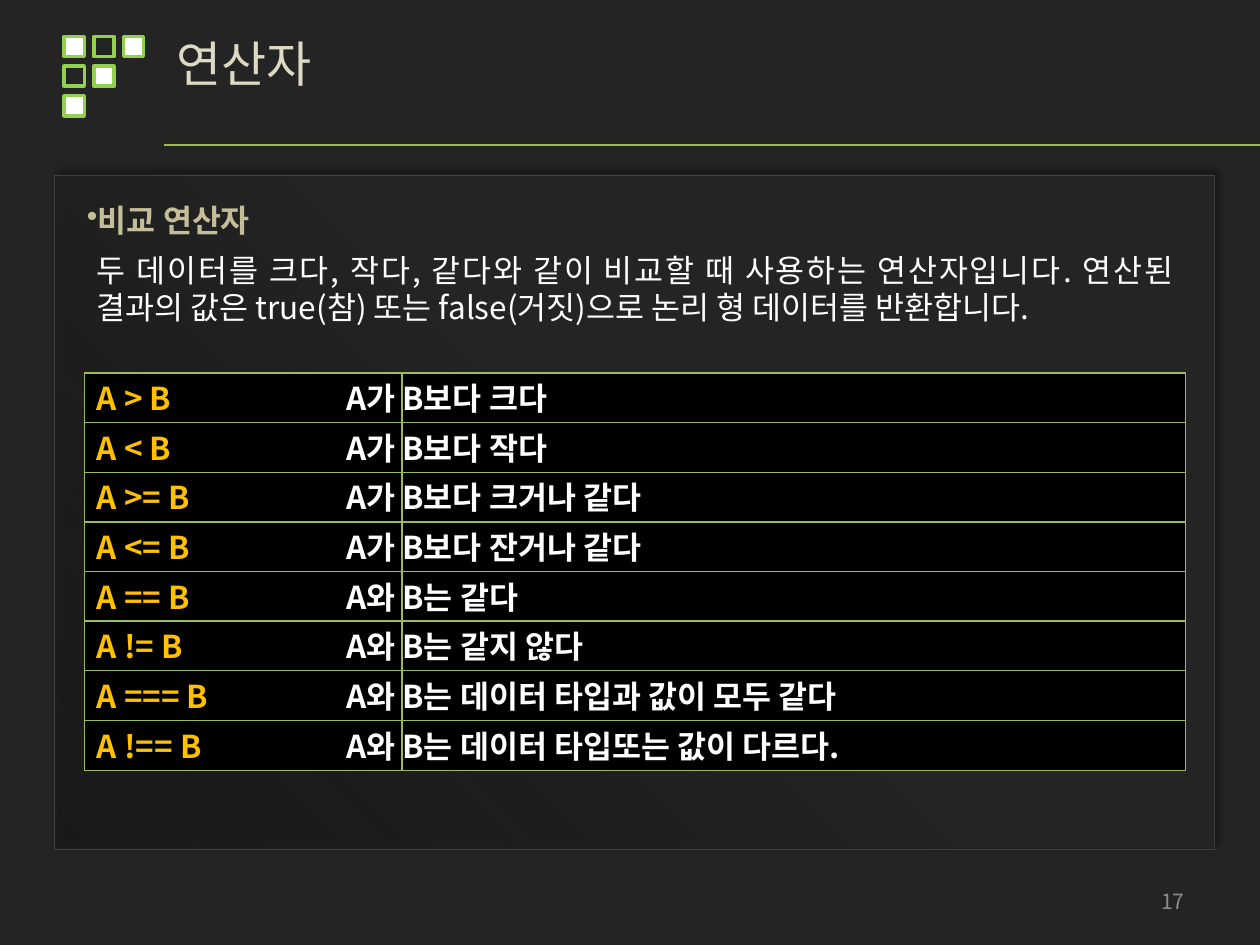
from dataclasses import dataclass

from lxml import etree
from pptx import Presentation
from pptx.dml.color import RGBColor
from pptx.enum.shapes import MSO_CONNECTOR, MSO_SHAPE
from pptx.enum.text import MSO_ANCHOR, PP_ALIGN
from pptx.oxml import parse_xml
from pptx.oxml.ns import nsdecls, qn
from pptx.util import Inches, Pt


@dataclass(frozen=True)
class Theme:
    font: str = "Noto Sans CJK KR"
    background: str = "242424"
    panel_dark: str = "191919"
    panel_line: str = "404040"
    square_line: str = "92D050"
    green: str = "9BBB59"
    title: str = "DDD9C3"
    heading: str = "C4BD97"
    operator: str = "FFC000"
    white: str = "FFFFFF"
    black: str = "000000"
    number: str = "8C8C8C"
    title_size: int = 28
    body_size: int = 18
    number_size: int = 12


theme = Theme()


def add_box(left, top, width, height, fill=None, line=None, line_width=0.75):
    """Add a flat rectangle; without a fill and a line it is a text box."""
    frame = [Inches(value) for value in (left, top, width, height)]
    if line is None:
        shape = slide.shapes.add_textbox(*frame)
    else:
        shape = slide.shapes.add_shape(MSO_SHAPE.RECTANGLE, *frame)
        shape.shadow.inherit = False
        shape.line.color.rgb = RGBColor.from_string(line)
        shape.line.width = Pt(line_width)
        if fill:
            shape.fill.solid()
            shape.fill.fore_color.rgb = RGBColor.from_string(fill)
        else:
            shape.fill.background()
    shape.text_frame.word_wrap = True
    shape.text_frame.vertical_anchor = MSO_ANCHOR.TOP
    return shape


def add_run(paragraph, text, size, color, bold=False):
    run = paragraph.add_run()
    run.text = text
    run.font.name = theme.font
    run.font.size = Pt(size)
    run.font.bold = bold
    run.font.color.rgb = RGBColor.from_string(color)
    etree.SubElement(run.font._element, qn("a:ea"), typeface=theme.font)


presentation = Presentation()
presentation.slide_width = Inches(10)
presentation.slide_height = Inches(7.5)
slide = presentation.slides.add_slide(presentation.slide_layouts[6])
slide.background.fill.solid()
slide.background.fill.fore_color.rgb = RGBColor.from_string(theme.background)

# Corner ornament: a triangle of squares, # filled and o hollow
for row, squares in enumerate(("#o#", "o#", "#")):
    for column, square in enumerate(squares):
        add_box(0.51 + column * 0.235, 0.29 + row * 0.235, 0.16, 0.16,
                theme.white if square == "#" else None, theme.square_line, 2)

# Content panel
panel = add_box(0.43, 1.39, 9.21, 5.35, theme.background, theme.panel_line)
panel_properties = panel._element.spPr
panel_properties.replace(panel_properties.find(qn("a:solidFill")), parse_xml(
    f'<a:gradFill {nsdecls("a")} rotWithShape="1"><a:gsLst>'
    f'<a:gs pos="0"><a:srgbClr val="{theme.panel_dark}"><a:alpha val="62000"/></a:srgbClr></a:gs>'
    f'<a:gs pos="50000"><a:srgbClr val="{theme.background}"/></a:gs></a:gsLst>'
    '<a:path path="circle"><a:fillToRect l="0" t="100000" r="100000" b="0"/></a:path>'
    '</a:gradFill>'))
panel_properties.find(qn("a:effectLst")).append(parse_xml(
    f'<a:outerShdw {nsdecls("a")} blurRad="{Pt(4)}" dist="{Pt(3)}" dir="18900000" '
    f'algn="bl" rotWithShape="0"><a:srgbClr val="{theme.black}">'
    '<a:alpha val="40000"/></a:srgbClr></a:outerShdw>'))

# Title and page number
title = add_box(1.3, 0.22, 8.66, 0.85).text_frame
add_run(title.paragraphs[0], "연산자", theme.title_size, theme.title)

page_number = add_box(7.17, 6.95, 2.33, 0.4).text_frame
page_number.vertical_anchor = MSO_ANCHOR.MIDDLE
page_number.paragraphs[0].alignment = PP_ALIGN.RIGHT
add_run(page_number.paragraphs[0], "17", theme.number_size, theme.number)

# Heading and explanation
heading = add_box(0.59, 1.55, 8.82, 0.4).text_frame.paragraphs[0]
etree.SubElement(heading._p.get_or_add_pPr(), qn("a:buChar"), char="•")
add_run(heading, "비교 연산자", theme.body_size, theme.heading, bold=True)

explanation = add_box(0.67, 1.94, 8.74, 1.01).text_frame.paragraphs[0]
explanation.alignment = PP_ALIGN.JUSTIFY
add_run(explanation,
        "두 데이터를 크다, 작다, 같다와 같이 비교할 때 사용하는 연산자입니다. "
        "연산된 결과의 값은 true(참) 또는 false(거짓)으로 논리 형 데이터를 반환합니다.",
        theme.body_size, theme.white)

# Operator rows: each meaning starts at a tab stop and runs across the divider
operators = [
    ("A > B", "A가 B보다 크다"),
    ("A < B", "A가 B보다 작다"),
    ("A >= B", "A가 B보다 크거나 같다"),
    ("A <= B", "A가 B보다 잔거나 같다"),
    ("A == B", "A와 B는 같다"),
    ("A != B", "A와 B는 같지 않다"),
    ("A === B", "A와 B는 데이터 타입과 값이 모두 같다"),
    ("A !== B", "A와 B는 데이터 타입또는 값이 다르다."),
]
rows_top, row_step, row_height = 2.96, 0.394, 0.4
lines = [(1.3, 1.15, 10, 1.15, 1.25)]
for index, (operator, meaning) in enumerate(operators):
    top = rows_top + index * row_step
    row = add_box(0.67, top, 8.74, row_height, theme.black, theme.green)
    paragraph = row.text_frame.paragraphs[0]
    paragraph.alignment = PP_ALIGN.JUSTIFY
    tabs = etree.SubElement(paragraph._p.get_or_add_pPr(), qn("a:tabLst"))
    etree.SubElement(tabs, qn("a:tab"), pos=str(Inches(1.98)), algn="l")
    add_run(paragraph, operator + "\t", theme.body_size, theme.operator, bold=True)
    add_run(paragraph, meaning, theme.body_size, theme.white, bold=True)
    lines.append((3.19, top, 3.19, top + row_step, 0.75))

# Title rule and row dividers
for *ends, width in lines:
    line = slide.shapes.add_connector(MSO_CONNECTOR.STRAIGHT, *map(Inches, ends))
    line.line.color.rgb = RGBColor.from_string(theme.green)
    line.line.width = Pt(width)
    etree.SubElement(line._element.spPr, qn("a:effectLst"))

presentation.save("out.pptx")
